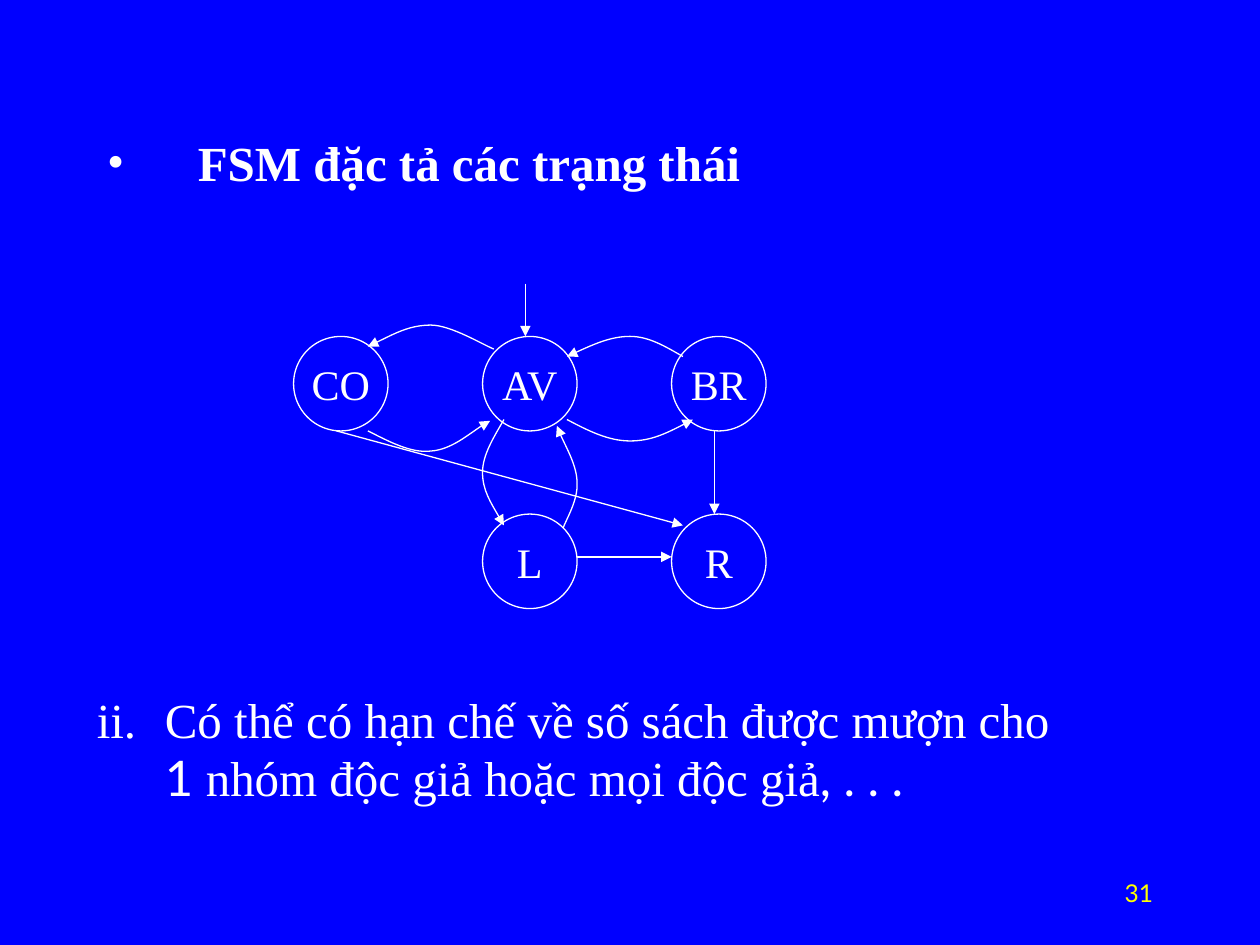
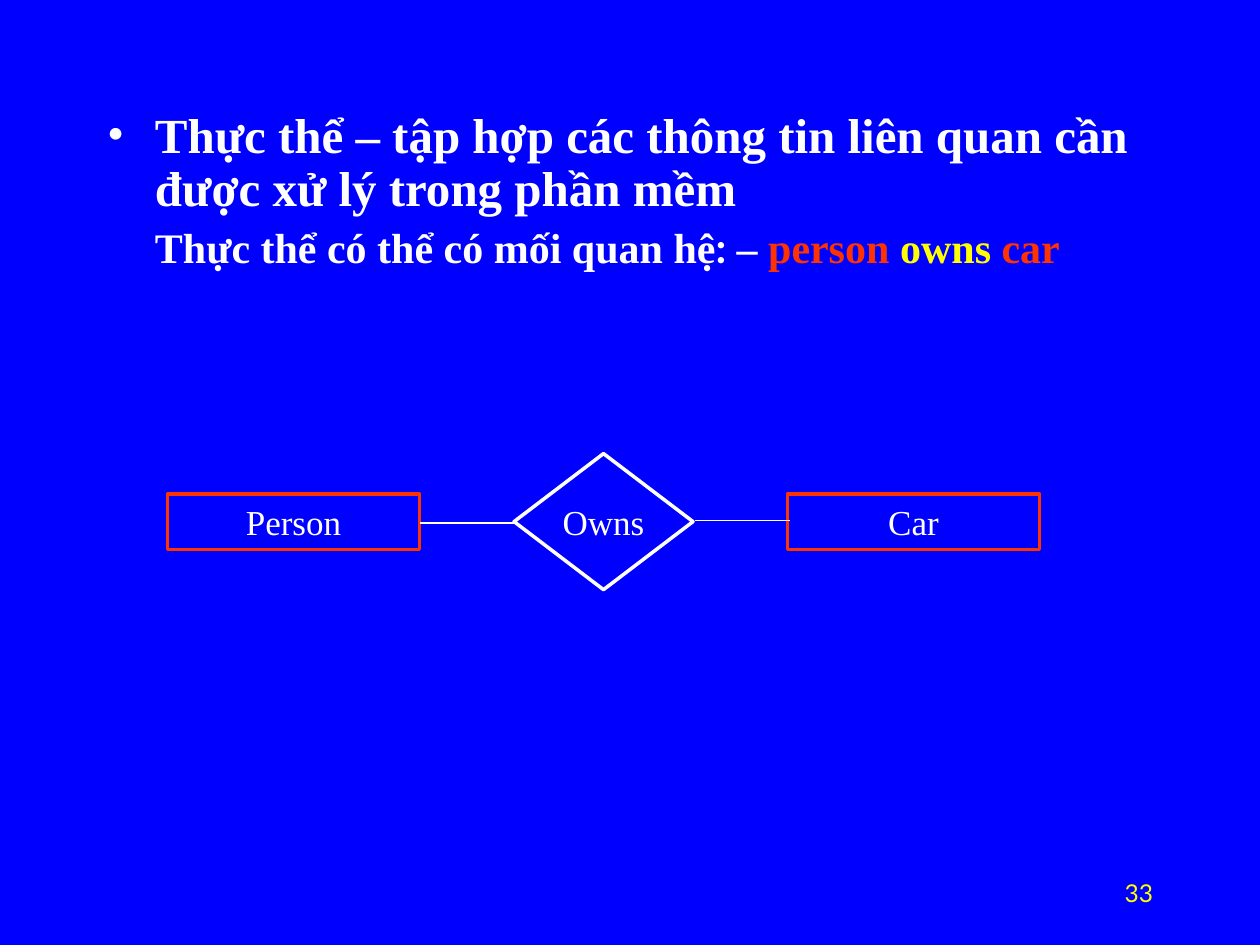
from lxml import etree
from pptx import Presentation
from pptx.dml.color import RGBColor
from pptx.enum.shapes import MSO_CONNECTOR, MSO_SHAPE
from pptx.enum.text import MSO_ANCHOR, MSO_AUTO_SIZE, PP_ALIGN
from pptx.oxml.ns import qn
from pptx.util import Inches, Pt

BLUE, WHITE, YELLOW, RED = "0000FF", "FFFFFF", "FFFF00", "FF3300"
SERIF, SANS = "Times New Roman", "Lato"
THIN, THICK = 0.74, 2.01
BODY_LEFT, BODY_W = 0.75, 8.5

# State diagram grid: first column, first row, steps and circle size
COL0, ROW0, COL_STEP, ROW_STEP, STATE = 2.33, 2.67, 1.5, 1.41, 0.75


def color(hex_code):
    return RGBColor.from_string(hex_code)


def place(shape, *box):
    shape.left, shape.top, shape.width, shape.height = map(Inches, box)


# Text
def set_bullet(p, char=None, number=None, start=1):
    pPr = p._p.get_or_add_pPr()
    if not (char or number):
        etree.SubElement(pPr, qn("a:buNone"))
        return
    clr = etree.SubElement(pPr, qn("a:buClr"))
    etree.SubElement(clr, qn("a:srgbClr"), val=WHITE)
    if char:
        etree.SubElement(pPr, qn("a:buFont"), typeface=SERIF)
        etree.SubElement(pPr, qn("a:buChar"), char=char)
    else:
        etree.SubElement(pPr, qn("a:buAutoNum"), type=number, startAt=str(start))


def add_text(tf, *runs, size=28, font=SERIF, fill=WHITE, bold=False,
             align=PP_ALIGN.LEFT, before=0, line=None, margin=0, indent=0,
             new=False, **bullet):
    """Write one paragraph; a run is a text or (text, {font, fill})."""
    p = tf.add_paragraph() if new else tf.paragraphs[0]
    p.alignment, p.space_before = align, Pt(before)
    if line:
        p.line_spacing = line
    pPr = p._p.get_or_add_pPr()
    pPr.set("marL", str(Inches(margin)))
    pPr.set("indent", str(Inches(indent)))
    set_bullet(p, **bullet)
    for run in runs:
        text, own = (run, {}) if isinstance(run, str) else run
        r = p.add_run()
        r.text = text
        r.font.size, r.font.bold = Pt(size), bold
        r.font.name = own.get("font", font)
        r.font.color.rgb = color(own.get("fill", fill))


def add_box(s, *box):
    tb = s.shapes.add_textbox(*map(Inches, box))
    tb.text_frame.word_wrap = True
    return tb.text_frame


# Shapes and lines
def style_line(shape, line=WHITE, width=THIN, arrow=False):
    shape.line.color.rgb = color(line)
    shape.line.width = Pt(width)
    if arrow:
        etree.SubElement(shape.line._get_or_add_ln(), qn("a:tailEnd"), type="triangle")


def add_node(s, kind, text, *box, size=20, line=WHITE, width=THICK,
             fit=False, before=0):
    node = s.shapes.add_shape(kind, *map(Inches, box))
    node.shadow.inherit = False
    node.fill.background()
    style_line(node, line, width)
    tf = node.text_frame
    tf.word_wrap = fit
    tf.auto_size = MSO_AUTO_SIZE.SHAPE_TO_FIT_TEXT if fit else MSO_AUTO_SIZE.NONE
    tf.vertical_anchor = MSO_ANCHOR.TOP if fit else MSO_ANCHOR.MIDDLE
    add_text(tf, text, size=size, align=PP_ALIGN.CENTER, before=before)


def add_link(s, start, end, arrow=False):
    c = s.shapes.add_connector(MSO_CONNECTOR.STRAIGHT, *map(Inches, start + end))
    style_line(c, arrow=arrow)
    etree.SubElement(c._element.spPr, qn("a:effectLst"))


def add_curve(s, start, *points):
    """Draw a curved arrow; each three points make one Bezier segment."""
    fb = s.shapes.build_freeform(*map(Inches, start), scale=1.0)
    fb.add_line_segments([tuple(map(Inches, pt)) for pt in points], close=False)
    curve = fb.convert_to_shape()
    path = curve._element.spPr.find(".//" + qn("a:path"))
    steps = path.findall(qn("a:lnTo"))
    for i in range(0, len(steps), 3):
        bezier = etree.SubElement(path, qn("a:cubicBezTo"))
        for step in steps[i:i + 3]:
            bezier.append(step[0])
            path.remove(step)
    curve.shadow.inherit = False
    curve.fill.background()
    style_line(curve, arrow=True)


# Parts shared by the slides
def add_slide(prs, number, top, height):
    """Add a slide with its page number; return it and its body text frame."""
    s = prs.slides.add_slide(prs.slide_layouts[1])
    title = s.shapes.title._element
    title.getparent().remove(title)
    body = s.placeholders[1]
    place(body, BODY_LEFT, top, BODY_W, height)
    body.text_frame.auto_size = MSO_AUTO_SIZE.NONE
    add_text(add_box(s, 7.17, 6.92, 2.08, 0.33), number, size=14, font=SANS,
             fill=YELLOW, align=PP_ALIGN.RIGHT)
    return s, body.text_frame


def state_slide(prs):
    s, tf = add_slide(prs, "31", 1, 1.08)
    add_text(tf, "FSM đặc tả các trạng thái", bold=True, before=7,
             margin=0.72, indent=-0.72, char="•")

    # States
    states = {"CO": (0, 0), "AV": (1, 0), "BR": (2, 0), "L": (1, 1), "R": (2, 1)}
    for name, (col, row) in states.items():
        add_node(s, MSO_SHAPE.OVAL, name, COL0 + col * COL_STEP,
                 ROW0 + row * ROW_STEP, STATE, STATE, size=24, width=THIN)

    # Curved transitions: AV-CO, CO-AV, BR-AV, AV-BR, L-AV, AV-L
    curves = [
        [(3.92, 2.77), (3.84, 2.74), (3.58, 2.58), (3.42, 2.58),
         (3.25, 2.58), (3.09, 2.67), (2.92, 2.75)],
        [(2.92, 3.42), (3.08, 3.5), (3.26, 3.6), (3.42, 3.58),
         (3.58, 3.57), (3.79, 3.39), (3.89, 3.34)],
        [(5.42, 2.83), (5.28, 2.75), (5.15, 2.67), (5, 2.67),
         (4.85, 2.67), (4.67, 2.75), (4.5, 2.83)],
        [(4.5, 3.33), (4.67, 3.42), (4.83, 3.5), (5, 3.5),
         (5.17, 3.5), (5.33, 3.42), (5.5, 3.33)],
        [(4.47, 4.19), (4.49, 4.13), (4.59, 3.97), (4.58, 3.83),
         (4.58, 3.7), (4.45, 3.47), (4.42, 3.38)],
        [(4, 3.33), (3.92, 3.47), (3.83, 3.61), (3.83, 3.75),
         (3.83, 3.89), (3.92, 4.03), (4, 4.17)],
    ]
    for points in curves:
        add_curve(s, *points)

    # Straight transitions: L-R, BR-R, CO-R and the entry to AV
    for start, end in [((4.58, 4.42), (5.33, 4.42)), ((5.67, 3.42), (5.67, 4.08)),
                       ((2.67, 3.42), (5.42, 4.17)), ((4.17, 2.25), (4.17, 2.67))]:
        add_link(s, start, end, arrow=True)

    # Numbered remark
    tf = add_box(s, 0.67, 5.42, 7.92, 1.04)
    tf.auto_size = MSO_AUTO_SIZE.SHAPE_TO_FIT_TEXT
    add_text(tf, "Có thể có hạn chế về số sách được mượn cho",
             (" 1 ", {"font": SANS}), "nhóm độc giả hoặc mọi độc giả",
             (", . . .", {"font": SANS}), before=17.5, margin=0.54, indent=-0.54,
             number="romanLcPeriod", start=2)


def entity_slide(prs):
    s, tf = add_slide(prs, "33", 0.83, 1.5)
    add_text(tf, "Thực thể – tập hợp các thông tin liên quan cần được xử lý "
             "trong phần mềm", bold=True, before=7, line=0.9,
             margin=0.38, indent=-0.38, char="•")
    add_text(tf, "Thực thể có thể có mối quan hệ", (": ", {"font": SANS}), "– ",
             ("person ", {"fill": RED}), ("owns ", {"fill": YELLOW}),
             ("car", {"fill": RED}), size=24, bold=True, before=6, line=0.9,
             margin=0.38, new=True)

    # Entities, relationship and links
    for name, left in [("Person", 1.33), ("Car", 6.25)]:
        add_node(s, MSO_SHAPE.RECTANGLE, name, left, 3.92, 2, 0.44,
                 line=RED, fit=True, before=12.5)
    add_node(s, MSO_SHAPE.FLOWCHART_DECISION, "Owns", 4.08, 3.6, 1.42, 1.08)
    for left, y in [(3.33, 4.15), (5.52, 4.13)]:
        add_link(s, (left, y), (left + 0.75, y))


def main():
    prs = Presentation()
    prs.slide_width, prs.slide_height = Inches(10), Inches(7.5)
    fill = prs.slide_master.background.fill
    fill.solid()
    fill.fore_color.rgb = color(BLUE)
    state_slide(prs)
    entity_slide(prs)
    prs.save("out.pptx")


main()
